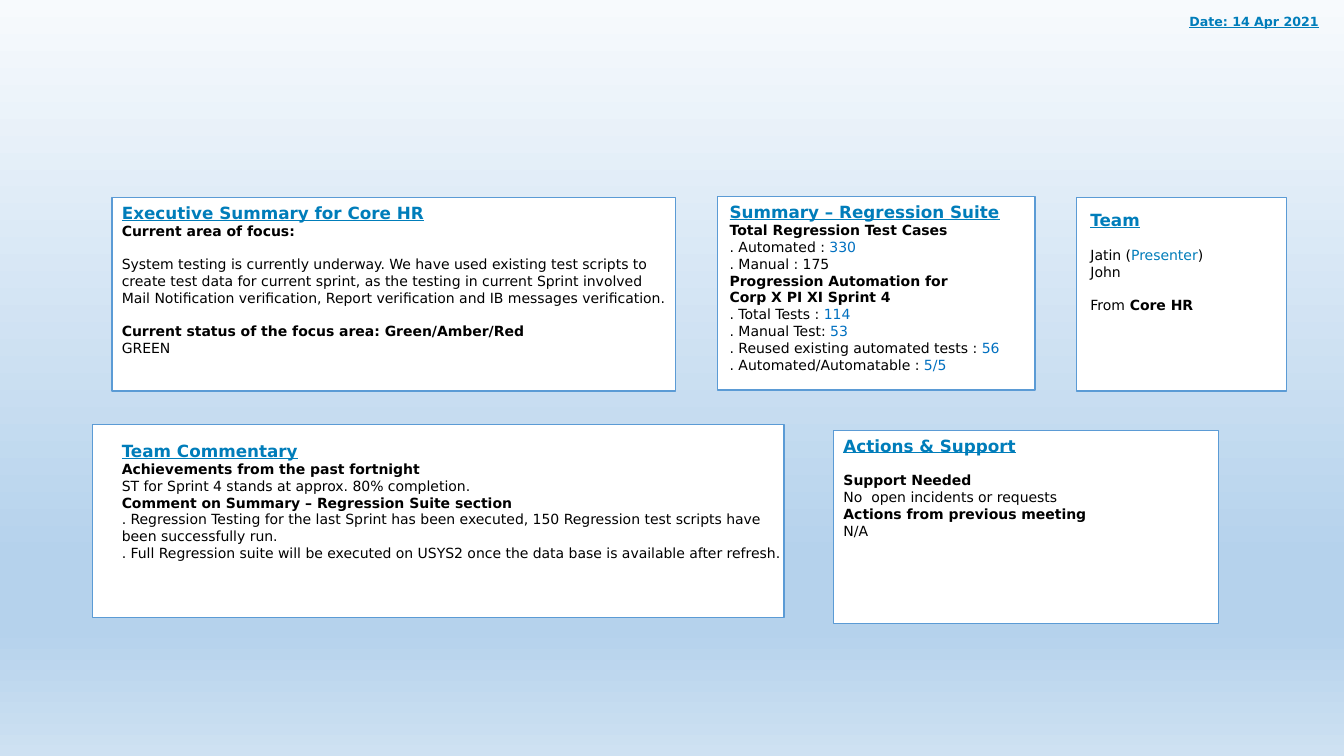
import copy

import pptx
import pptx.dml.color
import pptx.enum.shapes
import pptx.enum.text
import pptx.oxml.ns
import pptx.util

Pt = pptx.util.Pt
RGB = pptx.dml.color.RGBColor

BLACK = RGB(0x00, 0x00, 0x00)
WHITE = RGB(0xFF, 0xFF, 0xFF)
TEAL = RGB(0x00, 0x7D, 0xBA)
BLUE = RGB(0x00, 0x70, 0xC0)
BORDER = RGB(0x5B, 0x9B, 0xD5)
SKY = [
    (0, RGB(0xF7, 0xFA, 0xFD)),
    (0.74, RGB(0xB5, 0xD2, 0xEC)),
    (0.83, RGB(0xB5, 0xD2, 0xEC)),
    (1, RGB(0xCE, 0xE1, 0xF2)),
]
FONT = "DejaVu Sans"
CARD_HEIGHT = 138.2
LINE_GAP = 11.7

BOLD = {"bold": True}
VALUE = {"color": BLUE}
ROLE = {"color": TEAL}
HEADING = {"size": 12, "color": TEAL, "bold": True, "underline": True}

# Each card: box (left, top, width), text box (left, top, width, height),
# title and lines. A line is (blank lines above, runs of text and format).
CARDS = [
    ((512.6, 140.4, 226.8), (514.1, 140.4, 226.8, 131), "Summary – Regression Suite", [
        (0, [("Total Regression Test Cases", BOLD)]),
        (0, [(". Automated : ", {}), ("330", VALUE)]),
        (0, [(". Manual : 175", {})]),
        (0, [("Progression Automation for", BOLD)]),
        (0, [("Corp X PI XI Sprint 4", BOLD)]),
        (0, [(". Total Tests : ", {}), ("114", VALUE)]),
        (0, [(". Manual Test: ", {}), ("53", VALUE)]),
        (0, [(". Reused existing automated tests : ", {}), ("56", VALUE)]),
        (0, [(". Automated/Automatable : ", {}), ("5/5", VALUE)]),
    ]),
    ((66.2, 303.1, 493.9), (79.9, 311, 493.9, 94.3), "Team Commentary", [
        (0, [("Achievements from the past fortnight", BOLD)]),
        (0, [("ST for Sprint 4 stands at approx. 80% completion.", {})]),
        (0, [("Comment on Summary – Regression Suite section", BOLD)]),
        (0, [(". Regression Testing for the last Sprint has been executed, "
              "150 Regression test scripts have been successfully run.", {})]),
        (0, [(". Full Regression suite will be executed on USYS2 once "
              "the data base is available after refresh.", {})]),
    ]),
    ((595.4, 307.4, 275), (595.4, 307.4, 275, 82.1), "Actions & Support", [
        (1, [("Support Needed", BOLD)]),
        (0, [("No  open incidents or requests", {})]),
        (0, [("Actions from previous meeting", BOLD)]),
        (0, [("N/A", {})]),
    ]),
    ((79.9, 141.1, 402.5), (79.9, 141.1, 402.5, 131), "Executive Summary for Core HR", [
        (0, [("Current area of focus:", BOLD)]),
        (1, [("System testing is currently underway. We have used existing test "
              "scripts to create test data for current sprint, as the testing in "
              "current Sprint involved Mail Notification verification, Report "
              "verification and IB messages verification.", {})]),
        (1, [("Current status of the focus area: Green/Amber/Red", BOLD)]),
        (0, [("GREEN", {})]),
    ]),
    ((769, 141.1, 149.8), (771.8, 146.2, 150.5, 92.2), "Team", [
        (1, [("Jatin (", {}), ("Presenter", ROLE), (")", {})]),
        (0, [("John", {})]),
        (1, [("From", {}), (" Core HR", BOLD)]),
    ]),
]


def add_run(p, text, size=10, color=BLACK, bold=False, underline=False):
    r = p.add_run()
    r.text = text
    r.font.name = FONT
    r.font.size = Pt(size)
    r.font.color.rgb = color
    r.font.bold = bold
    r.font.underline = underline


prs = pptx.Presentation()
prs.slide_width = Pt(960)
prs.slide_height = Pt(540)
s = prs.slides.add_slide(prs.slide_layouts[6])

# Background gradient, light at the top
fill = s.background.fill
fill.gradient()
fill.gradient_angle = 270
stop_list = s.element.find(".//" + pptx.oxml.ns.qn("a:gsLst"))
while len(stop_list) < len(SKY):
    stop_list.append(copy.deepcopy(stop_list[0]))
for stop, (position, color) in zip(fill.gradient_stops, SKY):
    stop.position = position
    stop.color.rgb = color

# Cards
for (left, top, width), text_box, title, lines in CARDS:
    sp = s.shapes.add_shape(pptx.enum.shapes.MSO_SHAPE.RECTANGLE,
                            Pt(left), Pt(top), Pt(width), Pt(CARD_HEIGHT))
    sp.shadow.inherit = False
    sp.fill.solid()
    sp.fill.fore_color.rgb = WHITE
    sp.line.color.rgb = BORDER
    sp.line.width = Pt(1)

    tf = s.shapes.add_textbox(*map(Pt, text_box)).text_frame
    tf.word_wrap = True
    add_run(tf.paragraphs[0], title, **HEADING)
    for blank_lines, runs in lines:
        p = tf.add_paragraph()
        p.space_before = Pt(blank_lines * LINE_GAP)
        for text, style in runs:
            add_run(p, text, **style)

# Date
tf = s.shapes.add_textbox(Pt(841), Pt(6.5), Pt(108), Pt(18)).text_frame
tf.word_wrap = False
p = tf.paragraphs[0]
p.alignment = pptx.enum.text.PP_ALIGN.RIGHT
add_run(p, "Date: 14 Apr 2021", size=9, color=TEAL, bold=True, underline=True)

prs.save("out.pptx")
